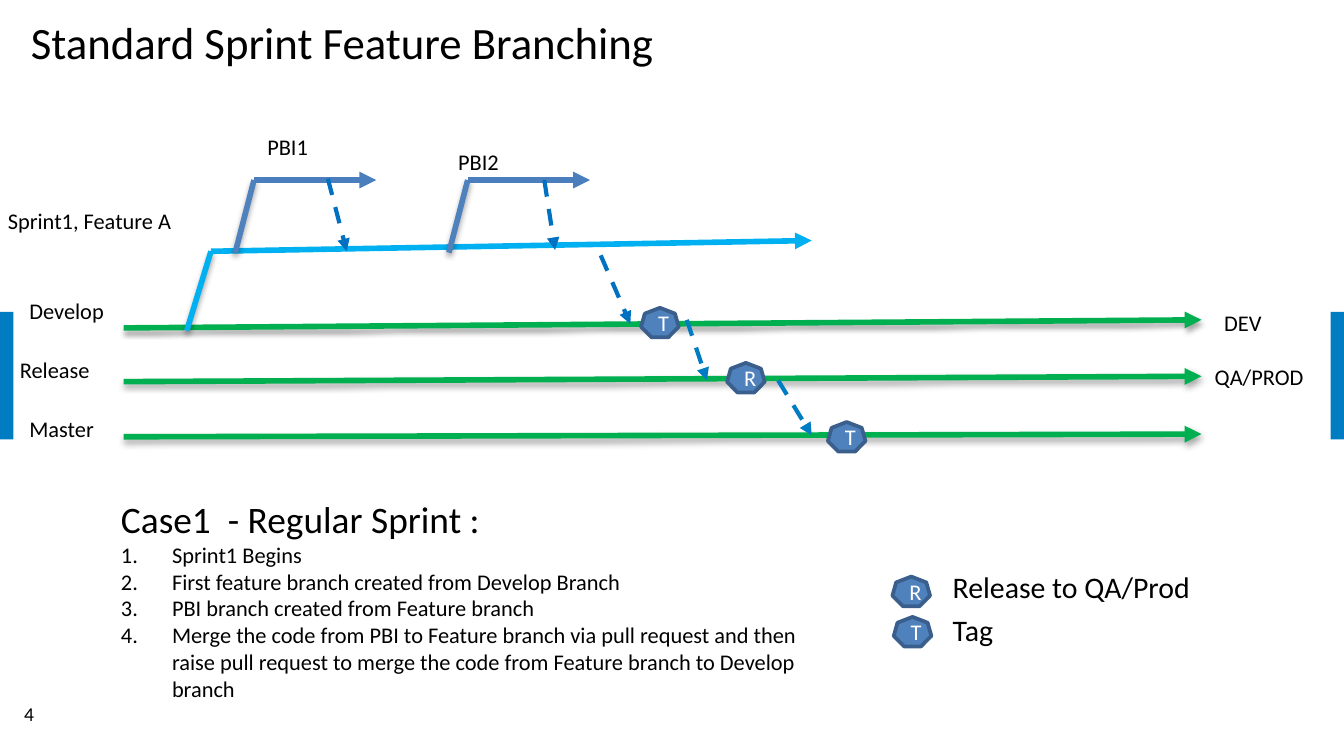
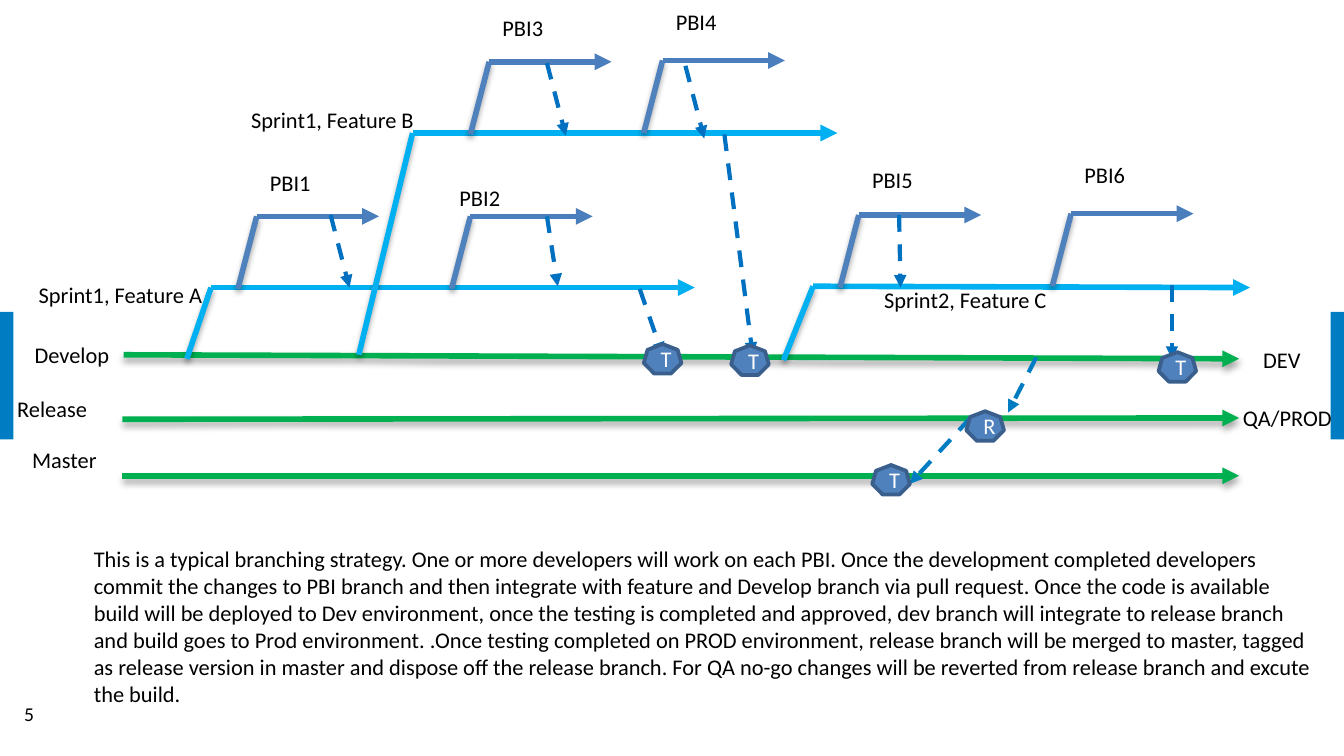
import pptx
import pptx.dml.color
import pptx.enum.dml
import pptx.enum.shapes
import pptx.enum.text
import pptx.oxml
import pptx.oxml.ns
import pptx.util

Inches = pptx.util.Inches
Pt = pptx.util.Pt

PAGE_WIDTH = 10
PAGE_HEIGHT = PAGE_WIDTH * 9 / 16
FONT = "Calibri"
COLOURS = {
    "text": "000000", "band": "007CC3", "trunk": "00B050", "feature": "00B0F0",
    "pbi_stem": "4F81BD", "pbi_arrow": "4B7EBC", "merge": "0070C0",
    "promotion": "007CC3", "marker": "4F81BD", "marker_edge": "3A5F8C", "white": "FFFFFF",
}
LABEL_WIDTHS = {"Develop": 0.76, "Release": 0.73, "Master": 0.69, "DEV": 0.48, "QA/PROD": 0.87}
FEATURE_LABEL_WIDTH = 1.43
PBI_LABEL_WIDTH = 0.51
LABEL_HEIGHT = 0.3
PBI_STEM = (0.14, 0.54)
PBI_LENGTH = 0.91
MARKER_SIZE = (0.28, 0.22)
BAND_BOX = (2.32, 0.1, 0.95)  # top, width, height

# Points are (x, y) in inches.
# trunks: (start, end); features: (name, label, start, knee, end)
# pbis: (name, label, knee); markers: (letter, corner)
SPRINT = {
    "number": "4",
    "title": "Standard Sprint Feature Branching",
    "labels": [("Develop", (0.12, 2.16)), ("Release", (0.05, 2.6)), ("Master", (0.12, 3.04)),
               ("DEV", (9.01, 2.25)), ("QA/PROD", (8.94, 2.65))],
    "trunks": [((0.92, 2.44), (8.94, 2.38)), ((0.92, 2.84), (8.94, 2.8)),
               ((0.92, 3.25), (8.94, 3.23))],
    "features": [("Sprint1, Feature A", (-0.04, 1.49), (1.39, 2.46), (1.57, 1.87), (6.04, 1.79))],
    "pbis": [("PBI1", (1.89, 0.94), (1.89, 1.34)), ("PBI2", (3.31, 1.05), (3.48, 1.34))],
    "merges": [((2.44, 1.33), (2.58, 1.87)), ((4.05, 1.34), (4.13, 1.86)),
               ((4.47, 1.9), (4.69, 2.41))],
    "promotions": [((5.11, 2.38), (5.26, 2.83)), ((5.79, 2.83), (6.04, 3.24))],
    "markers": [("T", (4.77, 2.29)), ("R", (5.41, 2.7)), ("T", (6.16, 3.14)),
                ("R", (6.64, 4.29)), ("T", (6.65, 4.59))],
    "case": "Case1  - Regular Sprint :",
    "steps": [
        "Sprint1 Begins",
        "First feature branch created from Develop Branch",
        "PBI branch created from Feature branch",
        "Merge the code from PBI to Feature branch via pull request and then raise pull "
        "request to merge the code from Feature branch to Develop branch",
    ],
    "legend": [("Release to QA/Prod", 4.18), ("Tag", 4.5)],
}
STRATEGY = {
    "number": "5",
    "labels": [("Develop", (0.16, 2.49)), ("Release", (0.03, 2.89)), ("Master", (0.14, 3.27)),
               ("DEV", (9.3, 2.53)), ("QA/PROD", (9.15, 2.96))],
    "trunks": [((0.92, 2.64), (9.22, 2.67)), ((0.91, 3.12), (9.22, 3.11)),
               ((0.91, 3.54), (9.22, 3.54))],
    "features": [
        ("Sprint1, Feature A", (0.19, 2.04), (1.39, 2.67), (1.57, 2.14), (5.17, 2.14)),
        ("Sprint1, Feature B", (1.77, 0.74), (2.67, 2.64), (3.07, 0.99), (6.23, 0.99)),
        ("Sprint2, Feature C", (6.48, 2.08), (5.83, 2.68), (6.05, 2.13), (9.3, 2.14)),
    ],
    "pbis": [("PBI1", (1.91, 1.21), (1.91, 1.61)), ("PBI2", (3.32, 1.32), (3.5, 1.61)),
             ("PBI3", (3.64, 0.06), (3.64, 0.46)), ("PBI4", (4.93, 0.01), (4.93, 0.45)),
             ("PBI5", (6.39, 1.19), (6.39, 1.6)), ("PBI6", (7.97, 1.15), (7.97, 1.59))],
    "merges": [((2.46, 1.6), (2.6, 2.14)), ((4.07, 1.61), (4.15, 2.13)),
               ((4.07, 0.47), (4.21, 1.01)), ((5.1, 0.49), (5.24, 1.03)),
               ((4.76, 2.15), (4.93, 2.64)), ((5.39, 1), (5.6, 2.64)),
               ((6.69, 1.6), (6.7, 2.14)), ((8.72, 2.12), (8.72, 2.67))],
    "promotions": [((7.71, 2.66), (7.5, 3.07)), ((7.22, 3.11), (6.77, 3.6))],
    "markers": [("T", (4.79, 2.56)), ("T", (5.44, 2.57)), ("T", (8.62, 2.62)),
                ("R", (7.19, 3.06)), ("T", (6.49, 3.46))],
    "summary": (
        "This is a typical branching strategy. One or more developers will work on each PBI. "
        "Once the development completed developers commit the changes to PBI branch and then "
        "integrate with feature and Develop branch via pull request. Once the code is available "
        "build will be deployed to Dev environment, once the testing is completed and approved, "
        "dev branch will integrate to release branch and build goes to Prod environment. .Once "
        "testing completed on PROD environment, release branch will be merged to master, tagged "
        "as release version in master and dispose off the release branch. For QA no-go changes "
        "will be reverted from release branch and excute the build."
    ),
}

SHADOW = (
    '<a:effectLst %s><a:outerShdw blurRad="38100" dist="22860" dir="5400000" rotWithShape="0">'
    '<a:srgbClr val="000000"><a:alpha val="35000"/></a:srgbClr></a:outerShdw></a:effectLst>'
)
NO_SHADOW = "<a:effectLst %s/>"
ARROWHEAD = '<a:tailEnd %s type="triangle"/>'
NUMBERING = '<a:buAutoNum %s type="arabicPeriod"/>'
NO_BULLET = "<a:buNone %s/>"


def colour(name):
    return pptx.dml.color.RGBColor.from_string(COLOURS[name])


def append_xml(parent, template):
    parent.append(pptx.oxml.parse_xml(template % pptx.oxml.ns.nsdecls("a")))


def set_all(target, values):
    for name, value in values.items():
        setattr(target, name, value)


def write(para, text, size, shade="text"):
    span = para.add_run()
    span.text = text
    set_all(span.font, {"name": FONT, "size": Pt(size)})
    span.font.color.rgb = colour(shade)


def add_text(page, text, left, top, width, height=LABEL_HEIGHT, size=12, wrap=True):
    box = page.shapes.add_textbox(*map(Inches, (left, top, width, height)))
    set_all(box.text_frame, {
        "word_wrap": wrap,
        "auto_size": pptx.enum.text.MSO_AUTO_SIZE.SHAPE_TO_FIT_TEXT,
    })
    write(box.text_frame.paragraphs[0], text, size)
    return box


def add_line(page, start, end, shade, width=3, arrow=False, dashed=False, shadow=False):
    line = page.shapes.add_connector(
        pptx.enum.shapes.MSO_CONNECTOR.STRAIGHT, *map(Inches, (*start, *end)))
    line.line.color.rgb = colour(shade)
    line.line.width = Pt(width)
    if dashed:
        line.line.dash_style = pptx.enum.dml.MSO_LINE.DASH
    properties = line._element.spPr
    if arrow:
        append_xml(properties.find(pptx.oxml.ns.qn("a:ln")), ARROWHEAD)
    append_xml(properties, SHADOW if shadow else NO_SHADOW)


def add_block(page, kind, left, top, width, height, fill):
    block = page.shapes.add_shape(kind, *map(Inches, (left, top, width, height)))
    block.shadow.inherit = False
    block.fill.solid()
    block.fill.fore_color.rgb = colour(fill)
    return block


def add_marker(page, letter, corner):
    marker = add_block(page, pptx.enum.shapes.MSO_SHAPE.HEPTAGON, *corner, *MARKER_SIZE, "marker")
    marker.line.color.rgb = colour("marker_edge")
    marker.line.width = Pt(2)
    marker.text_frame.vertical_anchor = pptx.enum.text.MSO_ANCHOR.MIDDLE
    para = marker.text_frame.paragraphs[0]
    para.alignment = pptx.enum.text.PP_ALIGN.CENTER
    write(para, letter, 12, "white")


def add_frame(page, number):
    """Draw the side bands and the page number."""
    top, width, height = BAND_BOX
    for left in (PAGE_WIDTH - width, 0):
        band = add_block(page, pptx.enum.shapes.MSO_SHAPE.RECTANGLE,
                         left, top, width, height, "band")
        band.line.fill.background()
    box = add_text(page, number, 0.13, 5.17, 0.43, 0.28, size=10.5)
    set_all(box.text_frame, dict.fromkeys(("margin_left", "margin_right"), Inches(0.05)))


def add_branches(page, content):
    for start, end in content["trunks"]:
        add_line(page, start, end, "trunk", arrow=True, shadow=True)
    for name, label, start, knee, end in content["features"]:
        add_line(page, start, knee, "feature", shadow=True)
        add_line(page, knee, end, "feature", arrow=True)
        add_text(page, name, *label, FEATURE_LABEL_WIDTH, wrap=False)
    for name, label, (x, y) in content["pbis"]:
        add_line(page, (x - PBI_STEM[0], y + PBI_STEM[1]), (x, y), "pbi_stem", shadow=True)
        add_line(page, (x, y), (x + PBI_LENGTH, y), "pbi_arrow", arrow=True)
        add_text(page, name, *label, PBI_LABEL_WIDTH, wrap=False)
    for group, shade in (("merges", "merge"), ("promotions", "promotion")):
        for start, end in content[group]:
            add_line(page, start, end, shade, width=2.25, arrow=True, dashed=True)
    for name, corner in content["labels"]:
        add_text(page, name, *corner, LABEL_WIDTHS[name], wrap=False)
    for letter, corner in content["markers"]:
        add_marker(page, letter, corner)


def place(holder, left, top, width, height):
    """Move a placeholder and give its text plain top-left settings."""
    sides = zip(("left", "top", "width", "height"), map(Inches, (left, top, width, height)))
    set_all(holder, dict(sides))
    set_all(holder.text_frame, {
        "word_wrap": True,
        "auto_size": pptx.enum.text.MSO_AUTO_SIZE.NONE,
        "vertical_anchor": pptx.enum.text.MSO_ANCHOR.TOP,
    })
    return holder.text_frame


def fill_title(page, text):
    para = place(page.shapes.title, 0.13, 0.06, 6.23, 0.5).paragraphs[0]
    para.alignment = pptx.enum.text.PP_ALIGN.LEFT
    write(para, text, 24)


def fill_steps(page, heading, steps):
    frame = place(page.placeholders[1], 0.8, 3.64, 5.36, 1.65)
    for index, text in enumerate([heading, *steps]):
        para = frame.add_paragraph() if index else frame.paragraphs[0]
        para.space_before = Pt(0)
        indent = Inches(0.38) if index else 0
        properties = para._p.get_or_add_pPr()
        properties.set("marL", str(indent))
        properties.set("indent", str(-indent))
        append_xml(properties, NUMBERING if index else NO_BULLET)
        write(para, text, 12 if index else 20)


def build_page(deck, layout, content):
    page = deck.slides.add_slide(deck.slide_layouts[layout])
    add_frame(page, content["number"])
    add_branches(page, content)
    return page


def main():
    deck = pptx.Presentation()
    set_all(deck, {"slide_width": Inches(PAGE_WIDTH), "slide_height": Inches(PAGE_HEIGHT)})

    page = build_page(deck, 1, SPRINT)
    fill_title(page, SPRINT["title"])
    fill_steps(page, SPRINT["case"], SPRINT["steps"])
    for text, top in SPRINT["legend"]:
        add_text(page, text, 6.99, top, 2.15, 0.37, size=16)

    page = build_page(deck, 6, STRATEGY)
    add_text(page, STRATEGY["summary"], 0.6, 4.01, 9.33, 1.31)

    deck.save("out.pptx")


if __name__ == "__main__":
    main()
